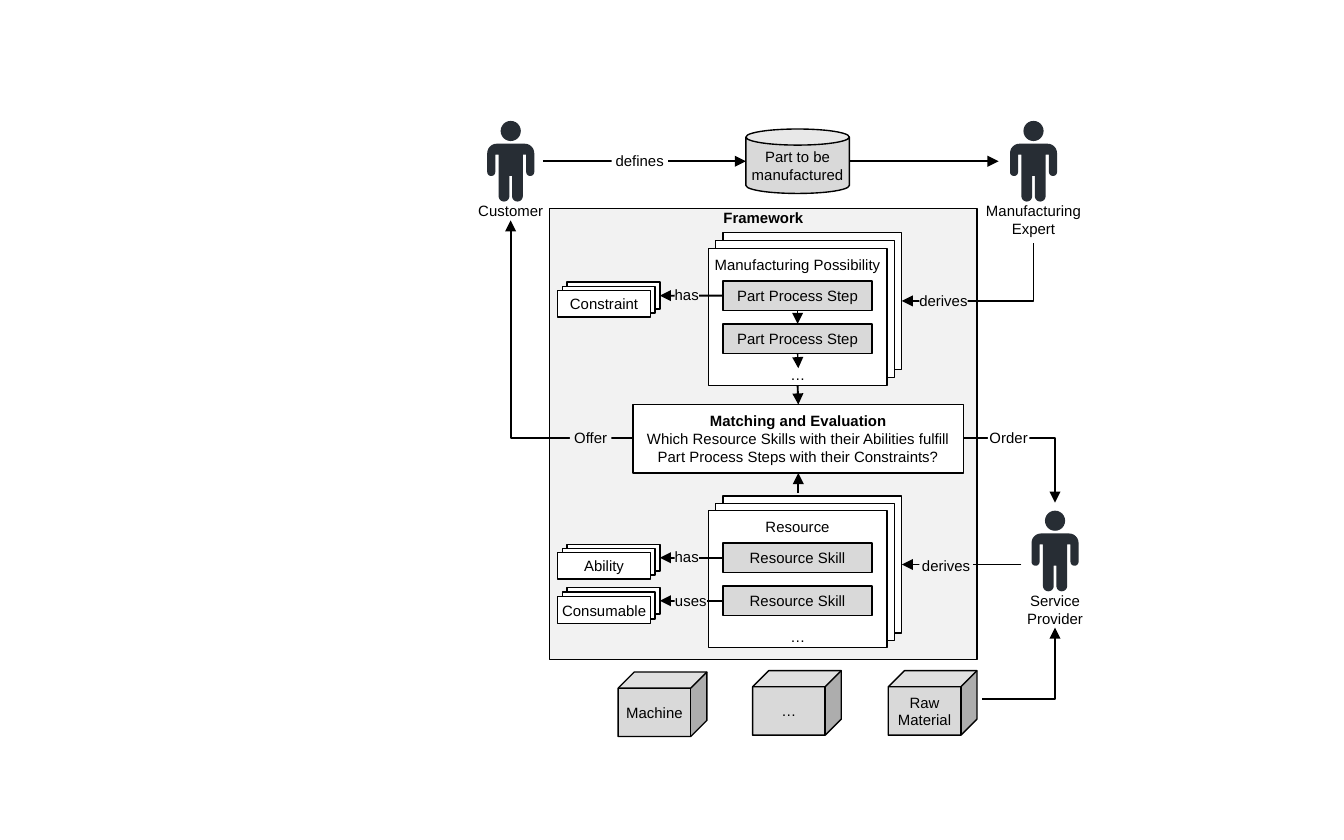
import math

import pptx
import pptx.dml.color
import pptx.enum.shapes
import pptx.enum.text
import pptx.oxml
import pptx.oxml.ns
import pptx.util

Inches = pptx.util.Inches
Pt = pptx.util.Pt
Shape = pptx.enum.shapes.MSO_SHAPE
Connector = pptx.enum.shapes.MSO_CONNECTOR
Anchor = pptx.enum.text.MSO_ANCHOR
RGB = pptx.dml.color.RGBColor.from_string
qn = pptx.oxml.ns.qn

COLORS = {
    "black": "000000",
    "white": "FFFFFF",
    "gray": "D9D9D9",
    "panel": "F2F2F2",
    "person": "272D34",
}

deck = pptx.Presentation()
deck.slide_width = Inches(10)
deck.slide_height = Inches(6.25)
page = deck.slides.add_slide(deck.slide_layouts[6])


def add_box(text, left, top, width, height, kind=Shape.RECTANGLE, fill="white",
            line=True, anchor=Anchor.MIDDLE, inset_x=0, inset_y=0, wrap=True,
            bold_lines=0):
    place = [Inches(value) for value in (left, top, width, height)]
    if kind is None:
        box = page.shapes.add_textbox(*place)
    else:
        box = page.shapes.add_shape(kind, *place)
        box.shadow.inherit = False
        box.fill.solid()
        box.fill.fore_color.rgb = RGB(COLORS[fill])
        if line:
            box.line.color.rgb = RGB(COLORS["black"])
            box.line.width = Pt(0.75)
        else:
            box.line.fill.background()
    frame = box.text_frame
    frame.word_wrap = wrap
    frame.vertical_anchor = anchor
    frame.margin_left = frame.margin_right = Inches(inset_x)
    frame.margin_top = frame.margin_bottom = Inches(inset_y)
    if text:
        frame.text = text
    for number, para in enumerate(frame.paragraphs):
        para.alignment = pptx.enum.text.PP_ALIGN.CENTER
        for span in para.runs:
            span.font.name = "Arial"
            span.font.size = Pt(8)
            span.font.bold = number < bold_lines
            span.font.color.rgb = RGB(COLORS["black"])
    return box


def add_arrow(start, end, bent=False, width=1, arrow="tailEnd", source=None, target=None):
    kind = Connector.ELBOW if bent else Connector.STRAIGHT
    arrow_line = page.shapes.add_connector(
        kind, *[Inches(value) for value in (*start, *end)])
    arrow_line.line.color.rgb = RGB(COLORS["black"])
    arrow_line.line.width = Pt(width)
    if source:
        arrow_line.begin_connect(*source)
    if target:
        arrow_line.end_connect(*target)
    properties = arrow_line._element.spPr
    if bent:
        properties.find(qn("a:prstGeom")).set("prst", "bentConnector2")
    head = pptx.oxml.parse_xml(
        f'<a:{arrow} xmlns:a="http://schemas.openxmlformats.org/drawingml/2006/main" type="triangle"/>')
    properties.find(qn("a:ln")).append(head)
    properties.append(properties.makeelement(qn("a:effectLst"), {}))
    return arrow_line


arcs = {
    "shoulder": (0.105, 0.24, 0.07, -90, 0),
    "hand": (0.145, 0.38, 0.03, 0, 180),
    "foot": (0.05, 0.56, 0.04, 0, 180),
    "head": (0, 0.075, 0.075, 0, 360),
}
curves = {}
for part, (x, y, radius, first, last) in arcs.items():
    curves[part] = [
        (x + radius * math.cos(math.radians(angle)), y + radius * math.sin(math.radians(angle)))
        for angle in range(first, last + 1, 15)
    ]
right_half = (curves["shoulder"] + curves["hand"] + [(0.115, 0.25), (0.09, 0.25)]
              + curves["foot"] + [(0.01, 0.41)])
body = right_half + [(-x, y) for x, y in reversed(right_half)]

people = [
    ("Customer", 3.8, 0.9, 0.49, 0.13, 1.5),
    ("Manufacturing\nExpert", 7.69, 0.9, 0.72, 0.27, 1.5),
    ("Service\nProvider", 7.85, 3.8, 0.42, 0.27, 4.4),
]
for name, center, top, width, height, label_top in people:
    outlines = [[(Inches(center + x), Inches(top + y)) for x, y in outline]
                for outline in (body, curves["head"])]
    builder = page.shapes.build_freeform(*outlines[0][0], scale=1.0)
    builder.add_line_segments(outlines[0][1:], close=True)
    builder.move_to(*outlines[1][0])
    builder.add_line_segments(outlines[1][1:], close=True)
    person = builder.convert_to_shape()
    person.shadow.inherit = False
    person.fill.solid()
    person.fill.fore_color.rgb = RGB(COLORS["person"])
    person.line.fill.background()
    add_box(name, center - width / 2, label_top, width, height, kind=None, wrap=False)

add_arrow((4.04, 1.2), (5.55, 1.2))
add_arrow((6.32, 1.2), (7.43, 1.2))
add_arrow((7.31, 5.2), (7.85, 4.67), bent=True)
add_box("Part to be manufactured", 5.55, 0.96, 0.77, 0.48, kind=Shape.CAN,
        fill="gray", inset_y=0.05)
for text, left, top in [("Machine", 4.6, 5), ("…", 5.6, 4.99), ("Raw Material", 6.61, 4.99)]:
    add_box(text, left, top, 0.66, 0.48, kind=Shape.CUBE, fill="gray", inset_y=0.05)

add_box("Framework", 4.09, 1.55, 3.18, 3.36, fill="panel", anchor=Anchor.TOP, bold_lines=1)
matching = add_box(
    "Matching and Evaluation\nWhich Resource Skills with their Abilities fulfill "
    "Part Process Steps with their Constraints?",
    4.71, 3.01, 2.46, 0.51, inset_x=0.1, inset_y=0.05, bold_lines=1)
add_arrow((4.71, 3.26), (3.8, 1.64), bent=True)
add_arrow((7.17, 3.26), (7.85, 3.74), bent=True)

stacks = [
    ("Manufacturing Possibility", 5.27, 1.85, 1.33, 1.02, 0.11, 0.12),
    ("Resource", 5.27, 3.8, 1.33, 1.02, 0.11, 0.11),
    ("Constraint", 4.15, 2.16, 0.69, 0.2, 0.07, 0.06),
    ("Ability", 4.15, 4.11, 0.69, 0.2, 0.07, 0.06),
    ("Consumable", 4.15, 4.44, 0.69, 0.2, 0.07, 0.07),
]
front, back = {}, {}
for name, left, top, width, height, shift, rise in stacks:
    large = height > 1
    back[name] = add_box("", left + shift, top - rise, width, height)
    add_box("", left + shift / 2, top - rise / 2, width, height)
    front[name] = add_box(name, left, top, width, height,
                          anchor=Anchor.TOP if large else Anchor.MIDDLE,
                          inset_y=0.05 if large else 0)

steps = [add_box("Part Process Step", 5.38, top, 1.11, 0.22, fill="gray") for top in (2.09, 2.41)]
skills = [add_box("Resource Skill", 5.38, top, 1.11, 0.22, fill="gray") for top in (4.04, 4.36)]
for top in (2.72, 4.67):
    add_box("…", 5.88, top, 0.11, 0.13, kind=None, wrap=False)

add_arrow((5.94, 2.31), (5.94, 2.41), width=0.75, source=(steps[0], 2), target=(steps[1], 0))
add_arrow((5.94, 2.63), (5.94, 2.74), width=0.75, source=(steps[1], 2))
add_arrow((5.94, 2.87), (5.94, 3.01),
          source=(front["Manufacturing Possibility"], 2), target=(matching, 0))
add_arrow((5.94, 3.67), (5.94, 3.52), target=(matching, 2))
add_arrow((7.6, 4.2), (6.71, 4.2), target=(back["Resource"], 3))
add_arrow((6.71, 2.24), (7.69, 1.81), bent=True, arrow="headEnd")
for owner, name, y in [(steps[0], "Constraint", 2.2), (skills[0], "Ability", 4.15),
                       (skills[1], "Consumable", 4.47)]:
    add_arrow((5.38, y), (4.91, y), source=(owner, 1), target=(back[name], 3))

labels = [
    ("defines", 4.55, 1.13, 0.42, "white"),
    ("Offer", 4.24, 3.19, 0.31, "panel"),
    ("Order", 7.35, 3.19, 0.31, "white"),
    ("derives", 6.84, 2.17, 0.36, "panel"),
    ("derives", 6.84, 4.14, 0.4, "panel"),
    ("has", 5.02, 2.13, 0.18, "panel"),
    ("has", 5.02, 4.08, 0.18, "panel"),
    ("uses", 5.02, 4.4, 0.24, "panel"),
]
for text, left, top, width, fill in labels:
    add_box(text, left, top, width, 0.13, fill=fill, line=False, wrap=False)

deck.save("out.pptx")
